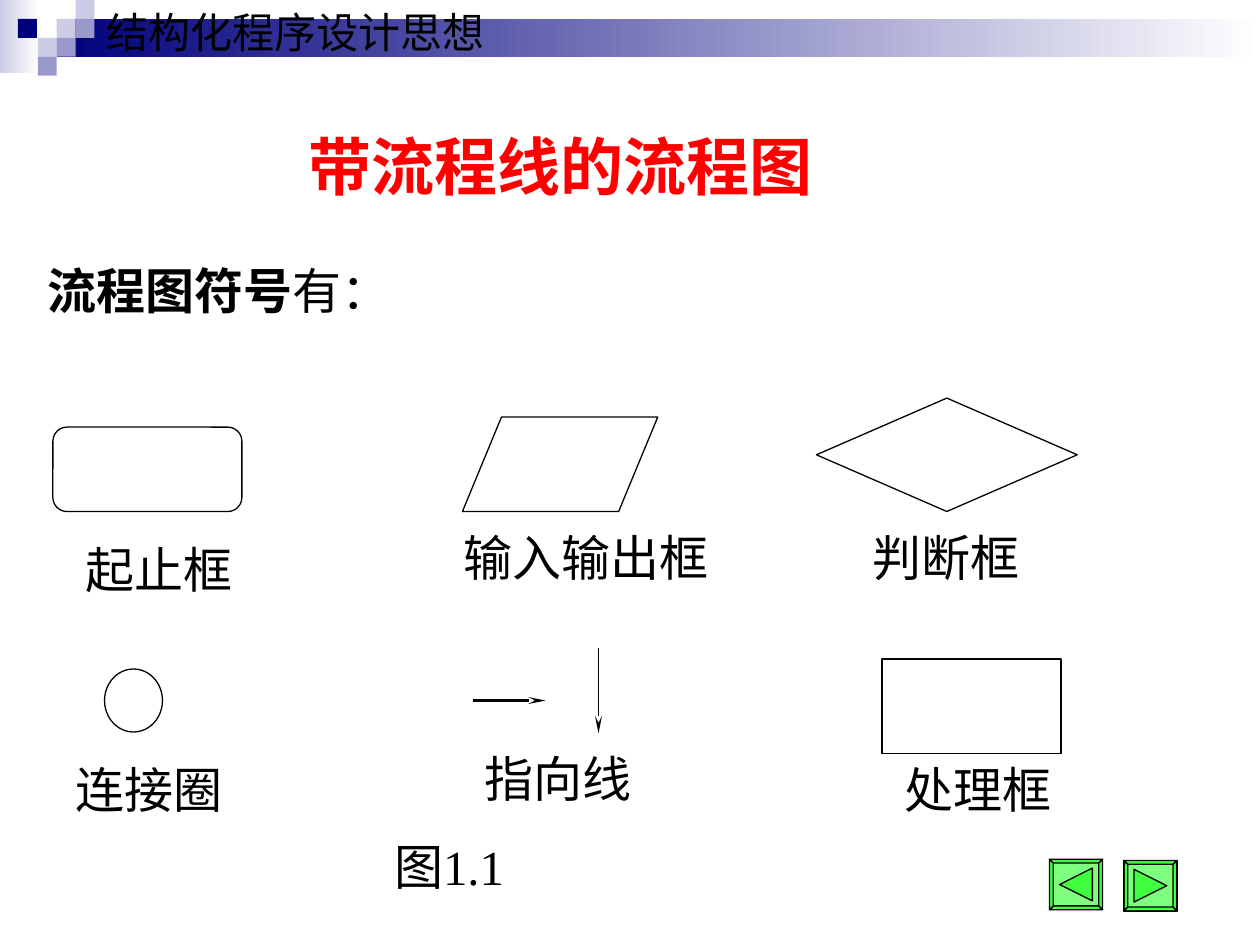
from copy import deepcopy
from lxml import etree
from pptx import Presentation
from pptx.dml.color import RGBColor
from pptx.enum import shapes, text
from pptx.oxml.ns import qn
from pptx.util import Inches, Pt

COLORS = {"navy": "00007D", "lilac": "CCCCE6", "violet": "9999CC", "white": "FFFFFF",
          "black": "000000", "red": "FF0000", "green": "00FF00"}
LATIN, CJK = "Times New Roman", "Noto Sans CJK SC"
KIND = shapes.MSO_SHAPE

TITLE = ("带流程线的流程图", (2.35, 0.84, 4.5, 0.82))
BANDS = [("lilac", (0, 0, 0.31, 0.58)), ("navy", (0.45, 0.15, 9.55, 0.3))]
TILE = 0.15
TILES = [("lilac", 3, 1), ("lilac", 4, 0), ("violet", 4, 1), ("lilac", 2, 2),
         ("navy", 0.95, 1), ("violet", 3, 2), ("violet", 2, 3)]
SYMBOLS = [
    (KIND.FLOWCHART_ALTERNATE_PROCESS, (0.42, 3.39, 1.5, 0.67)),
    (KIND.FLOWCHART_DATA, (3.67, 3.31, 1.55, 0.75)),
    (KIND.FLOWCHART_DECISION, (6.48, 3.16, 2.07, 0.9)),
    (KIND.FLOWCHART_CONNECTOR, (0.83, 5.31, 0.46, 0.5)),
    (KIND.FLOWCHART_PROCESS, (7, 5.23, 1.42, 0.75)),
]
FLOW_LINES = [((3.75, 5.56, 4.33, 5.56), 1.5), ((4.75, 5.14, 4.75, 5.82), 0.75)]
LABELS = [
    ([("结构化程序设计思想", False)], (0.75, 0, 3.2, 0.5), 24, False),
    ([("流程图符号", True), ("有：", False)], (0.28, 2.02, 2.92, 0.57), 28, False),
    ([("起止框", False)], (0.58, 4.23, 1.67, 0.57), 28, True),
    ([("输入输出框", False)], (3.58, 4.14, 2.58, 0.57), 28, True),
    ([("判断框", False)], (6.83, 4.14, 1.5, 0.57), 28, True),
    ([("连接圈", False)], (0.5, 5.98, 1.42, 0.57), 28, True),
    ([("指向线", False)], (3.75, 5.89, 1.42, 0.57), 28, True),
    ([("处理框", False)], (7.08, 5.98, 1.67, 0.57), 28, True),
    ([("图1.1", False)], (3.03, 6.59, 10, 0.57), 28, True),
]
BUTTON_W, BUTTON_H, BEVEL = 0.42, 0.4, 0.03
BUTTONS = [(8.33, 6.82, True), (8.92, 6.83, False)]


def rgb(name):
    return RGBColor.from_string(COLORS[name])


def inches(values):
    return [Inches(value) for value in values]


def write(frame, runs, size, color, wrap):
    settings = {"word_wrap": wrap, "auto_size": text.MSO_AUTO_SIZE.NONE,
                "vertical_anchor": text.MSO_ANCHOR.TOP,
                "margin_left": Inches(0.1), "margin_right": Inches(0.1),
                "margin_top": Inches(0.05), "margin_bottom": Inches(0.05)}
    for key, value in settings.items():
        setattr(frame, key, value)
    line = frame.paragraphs[0]
    line.alignment = text.PP_ALIGN.LEFT
    for words, bold in runs:
        run = line.add_run()
        run.text = words
        for key, value in {"size": Pt(size), "bold": bold, "name": LATIN}.items():
            setattr(run.font, key, value)
        run.font.color.rgb = rgb(color)
        etree.SubElement(run.font._element, qn("a:ea"), typeface=CJK)
    return line


def add_block(slide, kind, box, fill, outlined=False):
    block = slide.shapes.add_shape(kind, *inches(box))
    block.shadow.inherit = False
    block.fill.solid()
    block.fill.fore_color.rgb = rgb(fill)
    if outlined:
        block.line.color.rgb = rgb("black")
        block.line.width = Pt(0.75)
    else:
        block.line.fill.background()
    return block


def add_flow_line(slide, ends, width):
    arrow = slide.shapes.add_connector(shapes.MSO_CONNECTOR.STRAIGHT, *inches(ends))
    arrow.line.color.rgb = rgb("black")
    arrow.line.width = Pt(width)
    etree.SubElement(arrow.line._get_or_add_ln(), qn("a:tailEnd"),
                     type="stealth", w="sm", len="lg")
    etree.SubElement(arrow._element.spPr, qn("a:effectLst"))


def split_contours(button):
    outline = button._element.find(".//" + qn("a:path"))
    steps = list(outline)
    for step in steps:
        outline.remove(step)
    blank = deepcopy(outline)
    contours = outline.getparent()
    contours.remove(outline)
    for step in steps:
        if step.tag == qn("a:moveTo"):
            contour = deepcopy(blank)
            contours.append(contour)
        contour.append(step)


def add_button(slide, left, top, backward):
    outer = [(0, 0), (BUTTON_W, 0), (BUTTON_W, BUTTON_H), (0, BUTTON_H)]
    inner = [(abs(x - BEVEL), abs(y - BEVEL)) for x, y in outer]
    sides = [[outer[i], outer[(i + 1) % 4], inner[(i + 1) % 4], inner[i]] for i in range(4)]
    triangle = [(0.08, 0.07), (0.34, 0.2), (0.08, 0.33)]
    if backward:
        triangle = [(BUTTON_W - x, y) for x, y in triangle]
    contours = [[inches((left + x, top + y)) for x, y in points]
                for points in [outer, *sides, triangle]]
    builder = slide.shapes.build_freeform(*contours[0][0])
    builder.add_line_segments(contours[0][1:], close=True)
    for points in contours[1:]:
        builder.move_to(*points[0])
        builder.add_line_segments(points[1:], close=True)
    button = builder.convert_to_shape()
    split_contours(button)
    button.shadow.inherit = False
    button.fill.solid()
    button.fill.fore_color.rgb = rgb("green")
    tint = button._element.spPr.find(qn("a:solidFill"))[0]
    etree.SubElement(tint, qn("a:alpha"), val="50000")
    button.line.color.rgb = rgb("black")
    button.line.width = Pt(0.75)


def main():
    deck = Presentation()
    deck.slide_width, deck.slide_height = Inches(10), Inches(7.5)
    slide = deck.slides.add_slide(deck.slide_layouts[5])

    words, box = TITLE
    title = slide.shapes.title
    title.left, title.top, title.width, title.height = inches(box)
    write(title.text_frame, [(words, True)], 36, "red", True).line_spacing = 1.2

    for color, box in BANDS:
        band = add_block(slide, KIND.RECTANGLE, box, color)
        band.fill.gradient()
        band.fill.gradient_angle = 0
        for stop, shade in zip(band.fill.gradient_stops, (color, "white")):
            stop.color.rgb = rgb(shade)
    for color, column, row in TILES:
        add_block(slide, KIND.RECTANGLE, (column * TILE, row * TILE, TILE, TILE), color)
    for button in BUTTONS:
        add_button(slide, *button)
    for kind, box in SYMBOLS:
        add_block(slide, kind, box, "white", outlined=True)
    for ends, width in FLOW_LINES:
        add_flow_line(slide, ends, width)
    for runs, box, size, wrap in LABELS:
        label = slide.shapes.add_textbox(*inches(box))
        write(label.text_frame, runs, size, "black", wrap)

    deck.save("out.pptx")


if __name__ == "__main__":
    main()
